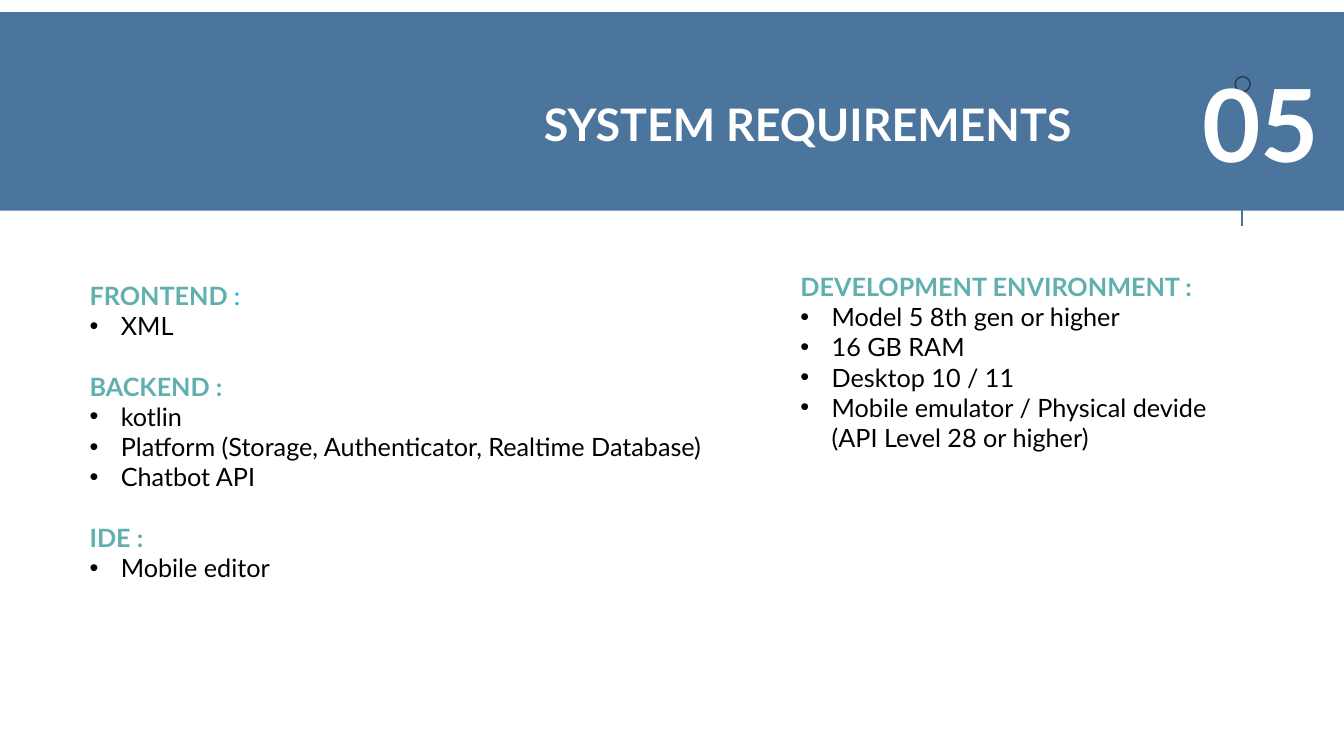
from pptx import Presentation
from pptx import util as u
from pptx.dml.color import RGBColor
from pptx.enum import shapes, text
from pptx.oxml import ns, xmlchemy

COLORS = {"band": "4B759D", "white": "FFFFFF", "black": "000000",
          "heading": "61B0AF", "colon": "00B0F0"}
FONT = "Lato"
BODY_SIZE = 18
LINE_HEIGHT = 21.6
INDENT = 0.31

LEFT_SECTIONS = [
    ("FRONTEND ", ":", ["XML"]),
    ("BACKEND :", "", ["kotlin",
                       "Platform (Storage, Authenticator, Realtime Database)",
                       "Chatbot API"]),
    ("IDE :", "", ["Mobile editor"]),
]
RIGHT_SECTIONS = [
    ("DEVELOPMENT ENVIRONMENT :", "", ["Model 5 8th gen or higher", "16 GB RAM",
                                       "Desktop 10 / 11",
                                       "Mobile emulator / Physical devide"]),
]
API_NOTE = "(API Level 28 or higher)"


def color(name):
    return RGBColor.from_string(COLORS[name])


def add_element(parent, tag, **attributes):
    element = xmlchemy.OxmlElement(tag)
    for name, value in attributes.items():
        element.set(name, str(value))
    parent.append(element)
    return element


def add_run(paragraph, words, size=BODY_SIZE, fill="black", bold=False):
    run = paragraph.add_run()
    run.text = words
    run.font.name = FONT
    run.font.size = u.Pt(size)
    run.font.bold = bold
    run.font.color.rgb = color(fill)


def add_frame(slide, box, anchor=text.MSO_ANCHOR.TOP):
    frame = slide.shapes.add_textbox(*map(u.Inches, box)).text_frame
    frame.word_wrap = True
    frame.vertical_anchor = anchor
    return frame


def add_label(slide, box, words, **style):
    paragraph = add_frame(slide, box, text.MSO_ANCHOR.MIDDLE).paragraphs[0]
    paragraph.alignment = text.PP_ALIGN.RIGHT
    add_run(paragraph, words, **style)


def add_item(frame, words, bullet=True):
    paragraph = frame.add_paragraph()
    properties = paragraph._p.get_or_add_pPr()
    properties.set("marL", str(u.Inches(INDENT)))
    if bullet:
        properties.set("indent", str(-u.Inches(INDENT)))
        add_element(properties, "a:buFont", typeface="Arial")
        add_element(properties, "a:buChar", char="•")
    add_run(paragraph, words)


def add_sections(slide, box, sections):
    frame = add_frame(slide, box)
    for index, (heading, colon, items) in enumerate(sections):
        paragraph = frame.add_paragraph() if index else frame.paragraphs[0]
        if index:
            paragraph.space_before = u.Pt(LINE_HEIGHT)
        add_run(paragraph, heading, fill="heading", bold=True)
        if colon:
            add_run(paragraph, colon, fill="colon")
        for item in items:
            add_item(frame, item)
    return frame


def add_header(slide, box):
    left, top, width, height = box
    right = left + width
    # Band
    band = slide.shapes.add_shape(shapes.MSO_SHAPE.RECTANGLE, *map(u.Inches, box))
    band.shadow.inherit = False
    band.fill.solid()
    band.fill.fore_color.rgb = color("band")
    band.line.fill.background()

    # Half-transparent ring and the line below it
    ring = slide.shapes.add_shape(
        shapes.MSO_SHAPE.OVAL, u.Inches(right - 1.08), u.Inches(top + 0.64),
        u.Inches(0.15), u.Inches(0.15))
    ring.shadow.inherit = False
    ring.fill.background()
    ring.line.color.rgb = color("black")
    ring.line.width = u.Pt(1)
    outline = ring._element.spPr.find(ns.qn("a:ln"))
    add_element(next(outline.iter(ns.qn("a:srgbClr"))), "a:alpha", val=50000)

    line_x = u.Inches(right - 1.01)
    stem = slide.shapes.add_connector(
        shapes.MSO_CONNECTOR.STRAIGHT, line_x, u.Inches(top + 1.27),
        line_x, u.Inches(top + height + 0.15))
    stem.line.color.rgb = color("band")
    stem.line.width = u.Pt(1)
    add_element(stem._element.spPr, "a:effectLst")

    # Title and section number
    add_label(slide, (left + 4.88, top + 0.79, 5.85, 0.64), "SYSTEM REQUIREMENTS",
              size=32, fill="white", bold=True)
    add_label(slide, (right - 2.8, top + 0.44, 2.65, 1.31), "05",
              size=72, fill="white", bold=True)


def main():
    presentation = Presentation()
    presentation.slide_width = u.Inches(13.33)
    presentation.slide_height = u.Inches(7.5)
    slide = presentation.slides.add_slide(presentation.slide_layouts[6])
    add_header(slide, (0, 0.12, 13.33, 1.97))
    # Requirement columns
    add_sections(slide, (0.79, 2.73, 7.06, 3.13), LEFT_SECTIONS)
    environment = add_sections(slide, (7.84, 2.64, 4.92, 1.92), RIGHT_SECTIONS)
    add_item(environment, API_NOTE, bullet=False)
    presentation.save("out.pptx")


if __name__ == "__main__":
    main()
